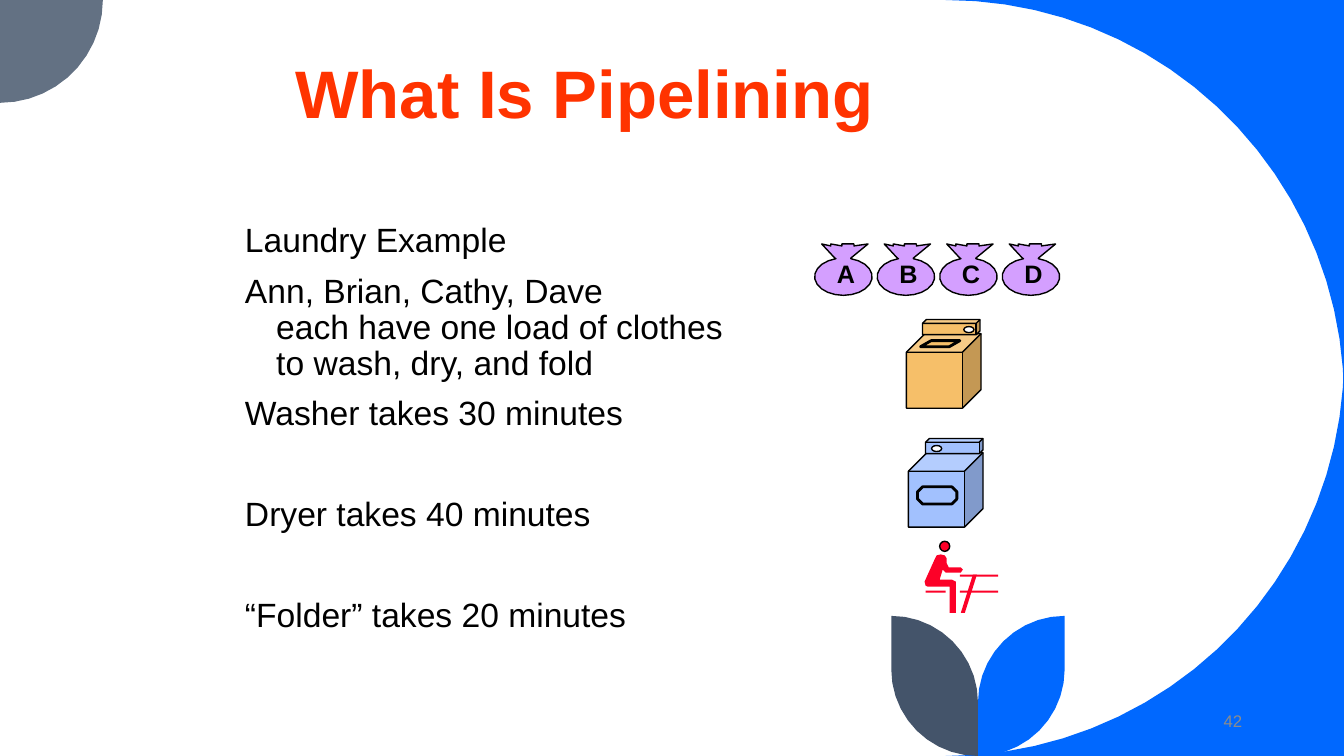
import math

import pptx
import pptx.dml.color
import pptx.enum.shapes
import pptx.enum.text
import pptx.oxml
import pptx.oxml.ns
import pptx.util

Inches, Pt = pptx.util.Inches, pptx.util.Pt
PRESET = pptx.enum.shapes.MSO_SHAPE
ALIGN = pptx.enum.text.PP_ALIGN
ANCHOR = pptx.enum.text.MSO_ANCHOR

SLIDE_W, SLIDE_H = 13.33, 7.5
ARC_TOLERANCE = 0.003


class Theme:
    font = "Arial"
    title_size, body_size, bag_size, number_size = 48, 24, 18, 12
    title, text, number = "FF3300", "000000", "8C8C8C"
    blue, gray, slate = "0068FF", "637183", "44546A"
    washer, dryer, folder, bag = "F6BF69", "A2C1FE", "FC0128", "D49FFF"
    white, outline = "FFFFFF", "000000"


TITLE = "What Is Pipelining"
# (text, space before in points); \v breaks a line within its paragraph
STEPS = [
    ("Laundry Example", 10),
    ("Ann, Brian, Cathy, Dave\veach have one load of clothes\vto wash, dry, and fold", 10),
    ("Washer takes 30 minutes", 10),
    ("Dryer takes 40 minutes", 46),
    ("“Folder” takes 20 minutes", 46),
]
HANG = 0.31
SLIDE_NUMBER = "42"

LOADS = ["A", "B", "C", "D"]
BAG_LEFT, BAG_TOP, BAG_STEP = 8.08, 2.42, 0.62
BAG_NECK = [(0.2, 0.14), (0.07, 0), (0.16, 0.02), (0.16, 0), (0.27, 0.02),
            (0.27, 0), (0.39, 0), (0.39, 0.02), (0.53, 0), (0.36, 0.14)]

# (preset, (left, top, width, height), fill, line width, adjustment)
WASHER = [
    (PRESET.CUBE, (8.99, 3.31, 0.74, 0.74), Theme.washer, 1, 0.25),
    (PRESET.CUBE, (9.15, 3.17, 0.57, 0.15), Theme.washer, 1, 0.25),
    (PRESET.PARALLELOGRAM, (9.13, 3.38, 0.39, 0.06), Theme.washer, 2, 1.75),
    (PRESET.OVAL, (9.56, 3.24, 0.1, 0.06), Theme.white, 1, None),
]
DRYER = [
    (PRESET.CUBE, (9.01, 4.49, 0.74, 0.74), Theme.dryer, 1, 0.25),
    (PRESET.CUBE, (9.18, 4.35, 0.57, 0.15), Theme.dryer, 1, 0.25),
    (PRESET.OVAL, (9.24, 4.42, 0.1, 0.06), Theme.white, 1, None),
    (PRESET.OCTAGON, (9.1, 4.83, 0.39, 0.17), Theme.dryer, 2, 0.29),
]
FOLDER = [
    (PRESET.RECTANGLE, (9.52, 5.7, 0.38, 0.02), Theme.folder, 0, None),
    (PRESET.RECTANGLE, (9.52, 5.86, 0.38, 0.02), Theme.folder, 0, None),
    (PRESET.RECTANGLE, (9.18, 5.86, 0.2, 0.02), Theme.folder, 0, None),
    (PRESET.OVAL, (9.32, 5.37, 0.1, 0.1), Theme.folder, 1, None),
]
TABLE_LEG = [(9.65, 5.7), (9.69, 5.7), (9.57, 6.08), (9.53, 6.08)]
SEATED_BODY = [
    (9.27, 5.55), (9.17, 5.77), (9.18, 5.81), (9.2, 5.82), (9.42, 5.82), (9.42, 6.08),
    (9.48, 6.08), (9.48, 5.77), (9.44, 5.75), (9.32, 5.75), (9.35, 5.65), (9.38, 5.68),
    (9.53, 5.68), (9.55, 5.65), (9.53, 5.63), (9.41, 5.63), (9.39, 5.59), (9.39, 5.54),
    (9.37, 5.51), (9.33, 5.5), (9.29, 5.51),
]


def rgb(color):
    return pptx.dml.color.RGBColor.from_string(color)


def arc(cx, cy, rx, ry, start, end):
    """Points along an ellipse, clockwise on the slide, angles in degrees."""
    widest_step = math.degrees(2 * math.acos(1 - ARC_TOLERANCE / rx))
    count = math.ceil((end - start) / widest_step)
    angles = [math.radians(start + (end - start) * i / count) for i in range(count + 1)]
    return [(cx + rx * math.cos(a), cy + ry * math.sin(a)) for a in angles]


def paint(shape, fill, line_width):
    shape.shadow.inherit = False
    shape.fill.solid()
    shape.fill.fore_color.rgb = rgb(fill)
    if line_width:
        shape.line.color.rgb = rgb(Theme.outline)
        shape.line.width = Pt(line_width)
    else:
        shape.line.fill.background()


def draw_outline(shapes, points, fill, line_width=0):
    corners = [(Inches(x), Inches(y)) for x, y in points]
    builder = shapes.build_freeform(*corners[0], scale=1.0)
    builder.add_line_segments(corners[1:], close=True)
    paint(builder.convert_to_shape(), fill, line_width)


def draw_presets(shapes, parts):
    for preset, box, fill, line_width, adjustment in parts:
        shape = shapes.add_shape(preset, *map(Inches, box))
        if adjustment is not None:
            shape.adjustments[0] = adjustment
        paint(shape, fill, line_width)


def place(shape, *box):
    shape.left, shape.top, shape.width, shape.height = map(Inches, box)


def style(paragraph, size, color, bold=False, align=ALIGN.LEFT):
    paragraph.alignment = align
    for run in paragraph.runs:
        run.font.name = Theme.font
        run.font.size = Pt(size)
        run.font.bold = bold
        run.font.color.rgb = rgb(color)


def add_label(shapes, text, box, wrap, anchor, *look):
    label = shapes.add_textbox(*map(Inches, box))
    frame = label.text_frame
    frame.text = text
    frame.word_wrap = wrap
    frame.vertical_anchor = anchor
    style(frame.paragraphs[0], *look)


def add_decoration(shapes):
    radius = 3.95
    center_x = SLIDE_W - radius
    draw_outline(shapes, [(SLIDE_W, 0)] + arc(center_x, radius, radius, radius, -90, 0), Theme.blue)
    draw_outline(shapes, arc(center_x, SLIDE_H - radius, radius, radius, 0, 90)
                 + [(SLIDE_W, SLIDE_H)], Theme.blue)
    draw_outline(shapes, [(0, 0)] + arc(0, 0, 1.02, 1.02, 0, 90), Theme.gray)

    stem, leaf, leaf_top = 9.7, 0.86, 6.11
    right_leaf = (arc(stem, SLIDE_H - leaf, leaf, leaf, 0, 90)
                  + arc(stem + leaf, leaf_top + leaf, leaf, leaf, 180, 270))
    left_leaf = [(2 * stem - x, y) for x, y in right_leaf]
    draw_outline(shapes, right_leaf, Theme.blue)
    draw_outline(shapes, left_leaf, Theme.slate)


def fill_title(title):
    place(title, 2.83, 0.33, 7.83, 1.25)
    frame = title.text_frame
    frame.text = TITLE
    frame.vertical_anchor = ANCHOR.MIDDLE
    frame.paragraphs[0].line_spacing = 0.9
    style(frame.paragraphs[0], Theme.title_size, Theme.title, True)


def fill_steps(body):
    place(body, 2.33, 2.17, 5.36, 4.5)
    frame = body.text_frame
    frame.auto_size = pptx.enum.text.MSO_AUTO_SIZE.NONE
    for i, (text, gap) in enumerate(STEPS):
        paragraph = frame.add_paragraph() if i else frame.paragraphs[0]
        paragraph.text = text
        paragraph.line_spacing = 0.9
        paragraph.space_before = Pt(gap)
        style(paragraph, Theme.body_size, Theme.text)
        properties = paragraph._p.get_or_add_pPr()
        properties.set("marL", str(Inches(HANG)))
        properties.set("indent", str(-Inches(HANG)))
        properties.append(pptx.oxml.parse_xml(f"<a:buNone {pptx.oxml.ns.nsdecls('a')}/>"))


def add_bags(shapes):
    outline = BAG_NECK + arc(0.285, 0.325, 0.285, 0.185, -75, 255)
    for i, load in enumerate(LOADS):
        left = BAG_LEFT + i * BAG_STEP
        draw_outline(shapes, [(left + x, BAG_TOP + y) for x, y in outline], Theme.bag, 1)
        add_label(shapes, load, (left + 0.09, BAG_TOP + 0.09, 0.44, 0.5), False, ANCHOR.TOP,
                  Theme.bag_size, Theme.text, True, ALIGN.CENTER)


def main():
    deck = pptx.Presentation()
    deck.slide_width, deck.slide_height = Inches(SLIDE_W), Inches(SLIDE_H)
    slide = deck.slides.add_slide(deck.slide_layouts[1])
    shapes = slide.shapes

    add_decoration(shapes)
    fill_title(shapes.title)
    fill_steps(slide.placeholders[1])
    add_label(shapes, SLIDE_NUMBER, (9.42, 6.95, 3, 0.4), True, ANCHOR.MIDDLE,
              Theme.number_size, Theme.number, False, ALIGN.RIGHT)
    draw_presets(shapes.add_group_shape().shapes, DRYER)
    folder = shapes.add_group_shape().shapes
    draw_outline(folder, TABLE_LEG, Theme.folder)
    draw_presets(folder, FOLDER)
    draw_outline(folder, SEATED_BODY, Theme.folder)
    draw_presets(shapes.add_group_shape().shapes, WASHER)
    add_bags(shapes.add_group_shape().shapes)
    deck.save("out.pptx")


if __name__ == "__main__":
    main()
